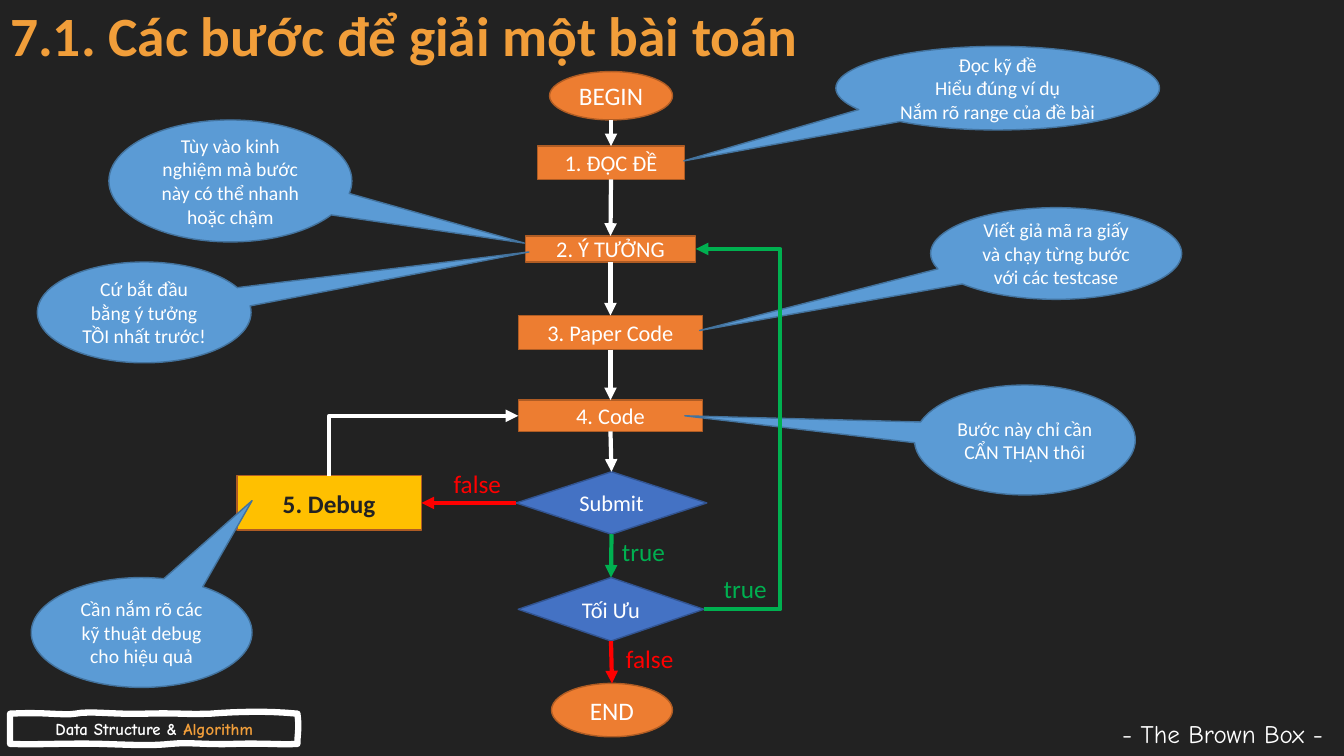
"""Build the flowchart slide on the steps for solving a problem."""
import pptx
import pptx.util
import pptx.dml.color
import pptx.enum.shapes
import pptx.enum.text
import pptx.oxml
import pptx.oxml.ns

PX = 9144
HUES = {
    "back": "222222", "gold": "F19E3A", "white": "FFFFFF", "orange": "ED7D31",
    "rust": "AF5C24", "sky": "5B9BD5", "steel": "43739E", "blue": "4472C4",
    "navy": "325491", "amber": "FFC000", "green": "00B050", "red": "FF0000",
}
RGB = {name: pptx.dml.color.RGBColor.from_string(code) for name, code in HUES.items()}
KIND = pptx.enum.shapes.MSO_SHAPE
WIRE = pptx.enum.shapes.MSO_CONNECTOR
SIDE = pptx.enum.text.PP_ALIGN
FIT = pptx.enum.text.MSO_AUTO_SIZE
MID = pptx.enum.text.MSO_ANCHOR.MIDDLE
TOP, LEFT, BASE, RIGHT = range(4)


def write(shape, text, size=16, hues=("white",), font="Calibri", bold=False,
          align=SIDE.CENTER, anchor=MID, wrap=True, fit=FIT.NONE):
    frame = shape.text_frame
    frame.word_wrap, frame.auto_size, frame.vertical_anchor = wrap, fit, anchor
    for row, line in enumerate(text.split("\n")):
        para = frame.add_paragraph() if row else frame.paragraphs[0]
        para.alignment = align
        for part, hue in zip(line.split("|"), hues):
            run = para.add_run()
            run.text = part
            run.font.name, run.font.bold = font, bold
            run.font.size = pptx.util.Pt(size)
            run.font.color.rgb = RGB[hue]


def link(start, out, goal, into, hue, kind=WIRE.STRAIGHT):
    wire = slide.shapes.add_connector(kind, 0, 0, 0, 0)
    if nodes[start].auto_shape_type == KIND.OVAL:
        oval = nodes[start]
        wire.begin_x = oval.left + oval.width // 2
        wire.begin_y = oval.top + oval.height
    else:
        wire.begin_connect(nodes[start], out)
    wire.end_connect(nodes[goal], into)
    wire.line.color.rgb = RGB[hue]
    wire.line.width = pptx.util.Pt(3)
    pen = wire.line._get_or_add_ln()
    tip = pptx.oxml.parse_xml(f'<a:tailEnd {pptx.oxml.ns.nsdecls("a")} type="triangle"/>')
    pen.append(tip)
    wire._element.spPr.append(
        pptx.oxml.parse_xml(f'<a:effectLst {pptx.oxml.ns.nsdecls("a")}/>'))
    return wire


deck = pptx.Presentation()
deck.slide_width, deck.slide_height = 1333 * PX, 750 * PX
slide = deck.slides.add_slide(deck.slide_layouts[5])
slide.background.fill.solid()
slide.background.fill.fore_color.rgb = RGB["back"]

title = slide.shapes.title
title.left, title.top, title.width, title.height = 0, 2 * PX, 1150 * PX, 72 * PX
write(title, "7.1. Các bước để giải một bài toán", size=39.6, hues=["gold"],
      bold=True, align=SIDE.LEFT)
title.text_frame.paragraphs[0].line_spacing = 0.9

start = (10, 708)
curves = [
    [(42, 706), (62, 710), (75, 708)], [(89, 705), (112, 709), (144, 708)],
    [(176, 707), (184, 709), (209, 708)], [(235, 706), (264, 705), (295, 708)],
    [(297, 723), (295, 727), (295, 738)], [(277, 739), (262, 737), (232, 738)],
    [(202, 739), (189, 736), (169, 738)], [(149, 740), (133, 739), (101, 738)],
    [(69, 737), (39, 739), (10, 738)], [(10, 724), (10, 717), (10, 708)],
]
dots, last = [], start
for one, two, end in curves:
    for step in range(1, 9):
        t = step / 8
        mix = ((1 - t) ** 3, 3 * t * (1 - t) ** 2, 3 * t * t * (1 - t), t ** 3)
        dots.append([PX * sum(m * p[axis] for m, p in zip(mix, (last, one, two, end)))
                     for axis in (0, 1)])
    last = end
pen = slide.shapes.build_freeform(start[0] * PX, start[1] * PX)
pen.add_line_segments(dots, close=True)
badge = pen.convert_to_shape()
badge.shadow.inherit = False
badge.fill.background()
badge.line.color.rgb = RGB["white"]
badge.line.width = pptx.util.Pt(4.5)
write(badge, "Data Structure & |Algorithm", size=12, hues=["white", "gold"],
      font="Comic Neue", bold=True)

steps = [
    ("BEGIN", KIND.OVAL, (545, 71, 122, 48), "orange", "rust", {"size": 18}),
    ("1. ĐỌC ĐỀ", KIND.RECTANGLE, (533, 145, 146, 33), "orange", "rust", {}),
    ("2. Ý TƯỞNG", KIND.RECTANGLE, (521, 234, 169, 26), "orange", "rust", {}),
    ("3. Paper Code", KIND.RECTANGLE, (514, 313, 183, 34), "orange", "rust", {}),
    ("4. Code", KIND.RECTANGLE, (514, 397, 183, 31), "orange", "rust", {}),
    ("Submit", KIND.DIAMOND, (512, 468, 189, 62), "blue", "navy", {}),
    ("Tối Ưu", KIND.DIAMOND, (514, 573, 184, 63), "blue", "navy", {}),
    ("END", KIND.OVAL, (547, 678, 120, 53), "orange", "rust", {"size": 18}),
    ("5. Debug", KIND.RECTANGLE, (235, 472, 183, 54), "amber", "rust",
     {"size": 18, "hues": ["back"], "bold": True}),
]
notes = [
    ("Đọc kỹ đề\nHiểu đúng ví dụ\nNắm rõ range của đề bài",
     (829, 46, 321, 83), (-0.97, 0.87)),
    ("Tùy vào kinh nghiệm mà bước này có thể nhanh hoặc chậm",
     (108, 119, 241, 121), (1.21, 0.51)),
    ("Viết giả mã ra giấy và chạy từng bước với các testcase",
     (923, 206, 249, 91), (-1.42, 0.84)),
    ("Cứ bắt đầu bằng ý tưởng TỒI nhất trước!", (37, 260, 212, 100), (1.8, -0.6)),
    ("Bước này chỉ cần CẨN THẬN thôi", (907, 382, 219, 109), (-1.54, -0.22)),
    ("Cần nắm rõ các kỹ thuật debug cho hiệu quả", (31, 573, 219, 109), (0.5, -1.2)),
]
for text, box, tip in notes:
    steps.append((text, KIND.OVAL_CALLOUT, box, "sky", "steel", {"size": 14, "tip": tip}))

nodes = {}
for text, kind, box, fill, edge, form in steps:
    node = slide.shapes.add_shape(kind, *[n * PX for n in box])
    node.shadow.inherit = False
    node.fill.solid()
    node.fill.fore_color.rgb = RGB[fill]
    node.line.color.rgb = RGB[edge]
    node.line.width = pptx.util.Pt(1)
    for spot, value in enumerate(form.pop("tip", ())):
        node.adjustments[spot] = value
    write(node, text, **form)
    nodes[text] = node

chain = [step[0] for step in steps[:8]]
tints = ["white"] * 5 + ["green", "red"]
for head, tail, hue in zip(chain, chain[1:], tints):
    link(head, BASE, tail, TOP, hue)
link("Submit", LEFT, "5. Debug", RIGHT, "red")

loop = link("Tối Ưu", RIGHT, "2. Ý TƯỞNG", RIGHT, "green", WIRE.ELBOW)
bend = loop._element.spPr.prstGeom.get_or_add_avLst()
bend.append(pptx.oxml.parse_xml(
    f'<a:gd {pptx.oxml.ns.nsdecls("a")} name="adj1" fmla="val -950000"/>'))

back = link("5. Debug", TOP, "4. Code", LEFT, "white", WIRE.ELBOW)
wide, high = back.width, back.height
back.left, back.top = back.left + (wide - high) // 2, back.top + (high - wide) // 2
back.width, back.height = high, wide
frame = back._element.spPr.xfrm
for key, value in (("rot", "5400000"), ("flipH", "1"), ("flipV", "1")):
    frame.set(key, value)
back._element.spPr.prstGeom.set("prst", "bentConnector2")

labels = [
    ("false", (440, 460, 68, 40), "red"), ("true", (607, 527, 63, 40), "green"),
    ("true", (708, 564, 63, 40), "green"), ("false", (611, 633, 68, 40), "red"),
]
looks = [(text, box, {"hues": [hue], "align": SIDE.LEFT, "wrap": False})
         for text, box, hue in labels]
looks.append(("- The Brown Box -", (1092, 708, 241, 40), {"font": "Comic Neue"}))
for text, box, form in looks:
    label = slide.shapes.add_textbox(*[n * PX for n in box])
    write(label, text, size=18, anchor=pptx.enum.text.MSO_ANCHOR.TOP,
          fit=FIT.SHAPE_TO_FIT_TEXT, **form)

deck.save("out.pptx")
